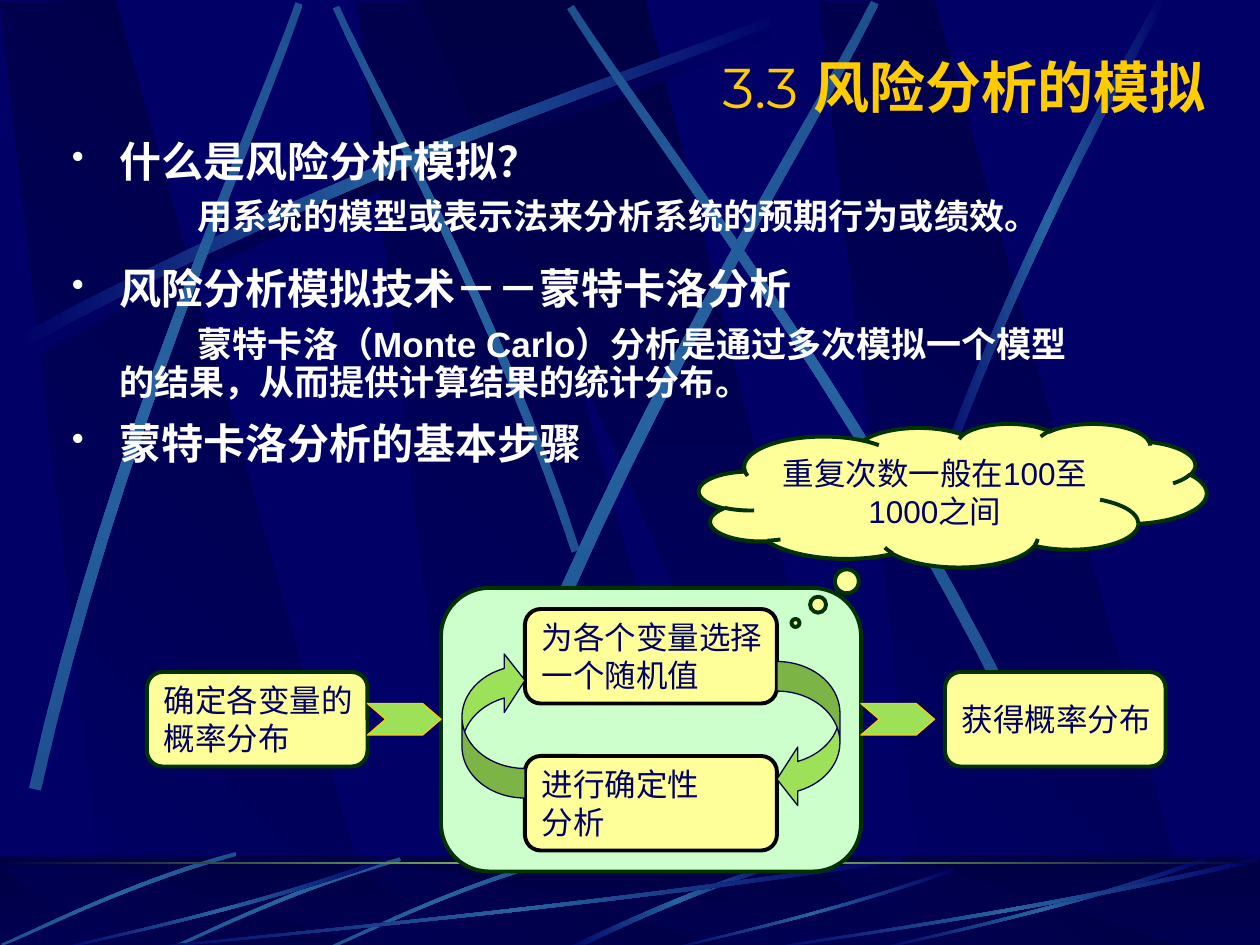
"""Builds the risk-analysis simulation slide with its streaked night backdrop."""
import math
from dataclasses import dataclass

from lxml import etree
from pptx import Presentation
from pptx.dml.color import RGBColor
from pptx.enum import shapes, text
from pptx.oxml import ns
from pptx.util import Pt

NAVY, DARK, BLUE, SOFT = "000066", "000044", "2663A0", "1E5090"
GREEN, YELLOW, FOREST, GOLD, WHITE = "9CE157", "FFFF99", "003300", "FFCC00", "FFFFFF"
MSO = shapes.MSO_SHAPE


@dataclass
class Streak:
    curve: list
    widths: tuple
    stops: tuple = (NAVY, BLUE, NAVY)
    angle: int = 0
    dx: float = 0
    dy: float = 0


@dataclass
class Box:
    kind: int
    at: tuple
    fill: str
    line: str
    weight: float = 2.25
    adj: tuple = ()
    rotation: int = 0
    lines: tuple = ()
    font: str = "Arial"


@dataclass
class Item:
    runs: str
    size: int
    before: float
    bullet: bool


def rgb(value: str) -> RGBColor:
    return RGBColor.from_string(value)


def add(parent, tag: str, **attrs):
    return etree.SubElement(parent, ns.qn(tag), {k: str(v) for k, v in attrs.items()})


def gradient(sp, stops: tuple, angle: int) -> None:
    sp.shadow.inherit = False
    sp.line.fill.background()
    sp.fill.gradient()
    grad = sp.element.spPr.find(ns.qn("a:gradFill"))
    for child in list(grad):
        grad.remove(child)
    gs_list = add(grad, "a:gsLst")
    for i, color in enumerate(stops):
        gs = add(gs_list, "a:gs", pos=round(100000 * i / (len(stops) - 1)))
        add(gs, "a:srgbClr", val=color)
    add(grad, "a:lin", ang=angle * 60000, scaled=0)


def polygon(s, points: list, stops: tuple, angle: int) -> None:
    pts = [(Pt(x), Pt(y)) for x, y in points]
    fb = s.shapes.build_freeform(*pts[0], scale=1.0)
    fb.add_line_segments(pts[1:], close=True)
    gradient(fb.convert_to_shape(), stops, angle)


def streak(s, k: Streak, steps: int = 16) -> None:
    left, right = [], []
    p0, p1, p2, p3 = k.curve
    for i in range(steps + 1):
        t = i / steps
        v = 1 - t
        x, y = (v**3 * a + 3 * v * v * t * b + 3 * v * t * t * c + t**3 * d
                for a, b, c, d in zip(p0, p1, p2, p3))
        tx, ty = (v * v * (b - a) + 2 * v * t * (c - b) + t * t * (d - c)
                  for a, b, c, d in zip(p0, p1, p2, p3))
        half = (k.widths[0] * v + k.widths[1] * t) / 2 / math.hypot(tx, ty)
        left.append((x + k.dx - ty * half, y + k.dy + tx * half))
        right.append((x + k.dx + ty * half, y + k.dy - tx * half))
    polygon(s, left + right[::-1], k.stops, k.angle)


def panels(s, top: float, scale: float) -> None:
    slab = [(62, 540), (217, 541), (66, 0), (0, 1)]
    wedge = [(240, 0), (474, 540), (500, 540), (369, 0)]
    for dx, outline, angle in ((204, slab, 135), (0, slab, 135), (468, slab, 135), (0, wedge, 90)):
        polygon(s, [(x + dx, top + y * scale) for x, y in outline], (DARK, NAVY), angle)


def band(s, at: tuple, stops: tuple, angle: int):
    sp = s.shapes.add_shape(MSO.RECTANGLE, *map(Pt, at))
    gradient(sp, stops, angle)
    return sp


def run(p, words: str, size: float, font: str, color: str, bold: bool = False) -> None:
    r = p.add_run()
    r.text = words
    r.font.size, r.font.name, r.font.bold = Pt(size), font, bold
    r.font.color.rgb = rgb(color)


def box(s, b: Box):
    sp = s.shapes.add_shape(b.kind, *map(Pt, b.at))
    sp.shadow.inherit = False
    sp.fill.solid()
    sp.fill.fore_color.rgb = rgb(b.fill)
    sp.line.color.rgb = rgb(b.line)
    sp.line.width = Pt(b.weight)
    sp.rotation = b.rotation
    for i, value in enumerate(b.adj):
        sp.adjustments[i] = value
    tf = sp.text_frame
    cloud = b.kind == MSO.CLOUD_CALLOUT
    tf.word_wrap = cloud
    tf.vertical_anchor = text.MSO_ANCHOR.MIDDLE
    for i, words in enumerate(b.lines):
        p = tf.add_paragraph() if i else tf.paragraphs[0]
        p.alignment = text.PP_ALIGN.CENTER if cloud else text.PP_ALIGN.LEFT
        p.space_before = Pt(4.5 if cloud else 0)
        run(p, words, 18, b.font, NAVY)


def textbox(s, at: tuple):
    tf = s.shapes.add_textbox(*map(Pt, at)).text_frame
    tf.word_wrap = True
    return tf


def body(s, items: list) -> None:
    tf = textbox(s, (34, 77, 587, 238))
    for i, item in enumerate(items):
        p = tf.add_paragraph() if i else tf.paragraphs[0]
        p.line_spacing, p.space_before = 0.9, Pt(item.before)
        ppr = p._p.get_or_add_pPr()
        ppr.set("marL", str(Pt(27)))
        ppr.set("indent", str(Pt(-27 if item.bullet else 45)))
        if item.bullet:
            add(add(ppr, "a:buClr"), "a:srgbClr", val=WHITE)
            add(ppr, "a:buSzPct", val=85000)
            add(ppr, "a:buChar", char="•")
        else:
            add(ppr, "a:buNone")
        run(p, item.runs, item.size, "Arial", WHITE, True)


def backdrop(s) -> None:
    tall = dict(stops=(SOFT, BLUE, SOFT), angle=90)
    soft = dict(stops=(SOFT, BLUE, SOFT))
    sweep = [(15, 202), (194, 103), (379, 46), (452, 15)]
    ray = [(319, 491), (259, 507), (207, 534), (185, 543)]
    short = [(221, 491), (144, 519), (63, 535), (31, 543)]
    panels(s, 0, 1)
    for k in (
        Streak(sweep, (7.5, 5), (NAVY, DARK, NAVY)),
        Streak([(329, 315), (284, 177), (215, 56), (192, 4)], (5, 4), **tall),
        Streak(sweep, (7.5, 5), dx=-4, dy=-6),
        Streak([(20, 451), (64, 253), (145, 77), (171, 2)], (7, 4.5), **tall),
        Streak([(280, 445), (354, 243), (463, 76), (500, 1.5)], (8, 5), **tall),
        Streak([(578, 405), (488, 222), (368, 71), (326, 4)], (6.5, 4.5), **tall),
        Streak([(533, 284), (570, 178), (621, 76), (664, 0)], (5, 5)),
    ):
        streak(s, k)
    band(s, (0, 490, 720, 54), (DARK, NAVY), 90)
    panels(s, 495, 0.09)
    veil = band(s, (0, 489, 720, 54), (DARK, DARK), 0)
    for clr in veil.element.spPr.iter(ns.qn("a:srgbClr")):
        add(clr, "a:alpha", val=50000)
    for k in (
        Streak([(452, 492), (399, 507), (348, 532), (324, 543)], (2.3, 3)),
        *(Streak(ray, (2.3, 1.5), dx=dx, dy=dy, **soft) for dx, dy in ((0, 0), (-90, 0), (-184, -3))),
        Streak([(515, 491), (334, 519), (147, 535), (73, 543)], (2.5, 1)),
        Streak(short, (2.3, 1)),
        Streak([(545, 497), (478, 521), (408, 536), (380, 543)], (1.8, 1)),
        Streak(short, (2.3, 1), dx=468),
        Streak([(719, 491), (602, 519), (481, 535), (433, 543)], (2.5, 1)),
    ):
        streak(s, k)
    band(s, (0, 492.5, 720, 1.5), (DARK, GREEN, DARK), 0)


def main() -> None:
    prs = Presentation()
    prs.slide_width, prs.slide_height = Pt(720), Pt(540)
    s = prs.slides.add_slide(prs.slide_layouts[6])
    s.background.fill.solid()
    s.background.fill.fore_color.rgb = rgb(NAVY)
    backdrop(s)
    tf = textbox(s, (84, 26, 612, 46))
    tf.vertical_anchor = text.MSO_ANCHOR.MIDDLE
    p = tf.paragraphs[0]
    p.alignment = text.PP_ALIGN.RIGHT
    run(p, "3.3 ", 32, "Montserrat", GOLD)
    run(p, "风险分析的模拟", 32, "Montserrat", GOLD, True)
    body(s, [
        Item("什么是风险分析模拟？", 24, 6, True),
        Item("用系统的模型或表示法来分析系统的预期行为或绩效。", 20, 7.5, False),
        Item("风险分析模拟技术－－蒙特卡洛分析", 24, 18, True),
        Item("蒙特卡洛（Monte Carlo）分析是通过多次模拟一个模型的结果，从而提供计算结果的统计分布。", 20, 7.5, False),
        Item("蒙特卡洛分析的基本步骤", 24, 11.5, True),
    ])
    card, loop, bend = MSO.FLOWCHART_ALTERNATE_PROCESS, MSO.CURVED_LEFT_ARROW, (0.47, 0.93, 0.33)
    for b in (
        Box(card, (84, 384, 126, 54), YELLOW, FOREST, lines=("确定各变量的", "概率分布")),
        Box(card, (540, 384, 126, 54), YELLOW, FOREST, lines=("获得概率分布",), font="Times New Roman"),
        Box(MSO.ROUNDED_RECTANGLE, (252, 336, 240, 162), "CCFFCC", FOREST, adj=(0.17,)),
        Box(card, (300, 348, 144, 54), YELLOW, "000000", lines=("为各个变量选择", "一个随机值")),
        Box(card, (300, 432, 144, 54), YELLOW, "000000", lines=("进行确定性", "分析")),
        Box(loop, (444, 378, 36, 84), GREEN, DARK, 0.75, bend),
        Box(loop, (264, 372, 36, 84), GREEN, DARK, 0.75, bend, 180),
        *(Box(MSO.CHEVRON, (x, 402, 42, 18), GREEN, GOLD, 0.75, (0.58,)) for x in (210, 492)),
        Box(MSO.CLOUD_CALLOUT, (399.5, 242, 290, 82), YELLOW, FOREST, adj=(-0.31, 0.89),
            lines=("重复次数一般在100至1000之间",)),
    ):
        box(s, b)
    prs.save("out.pptx")


if __name__ == "__main__":
    main()
